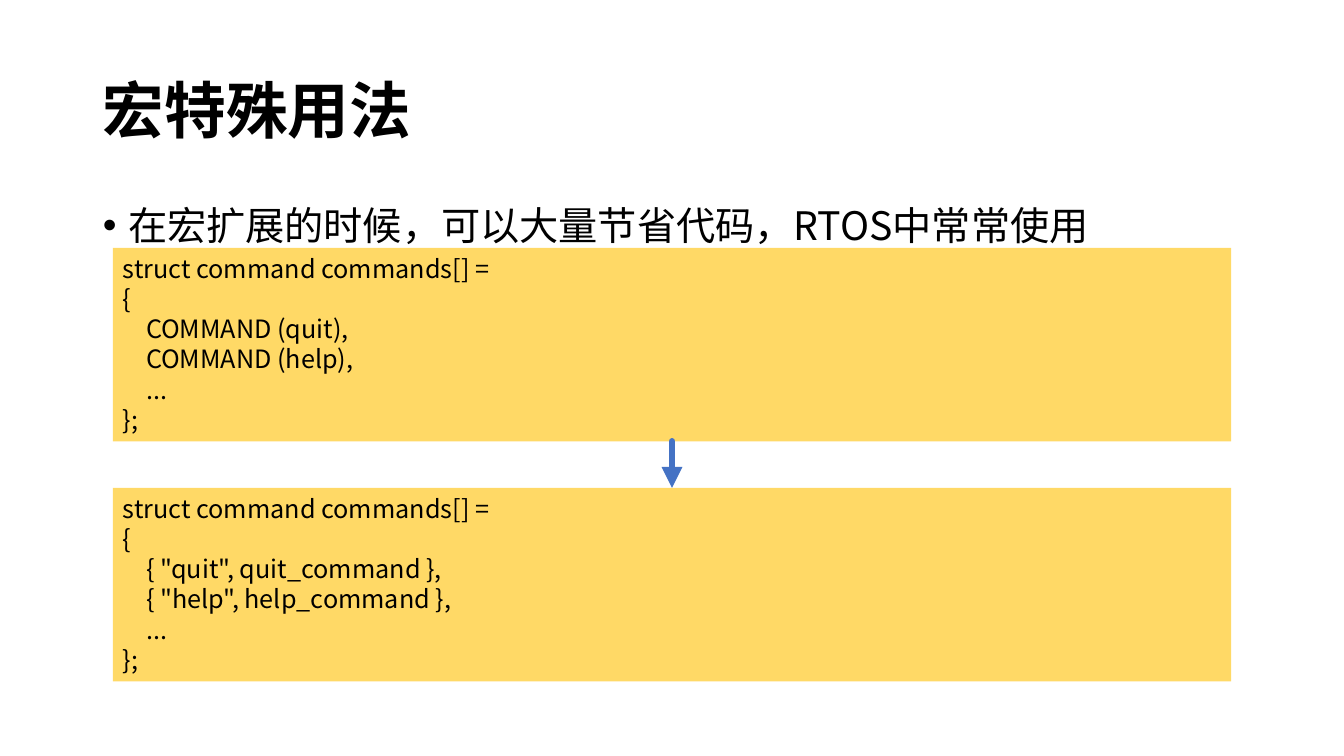
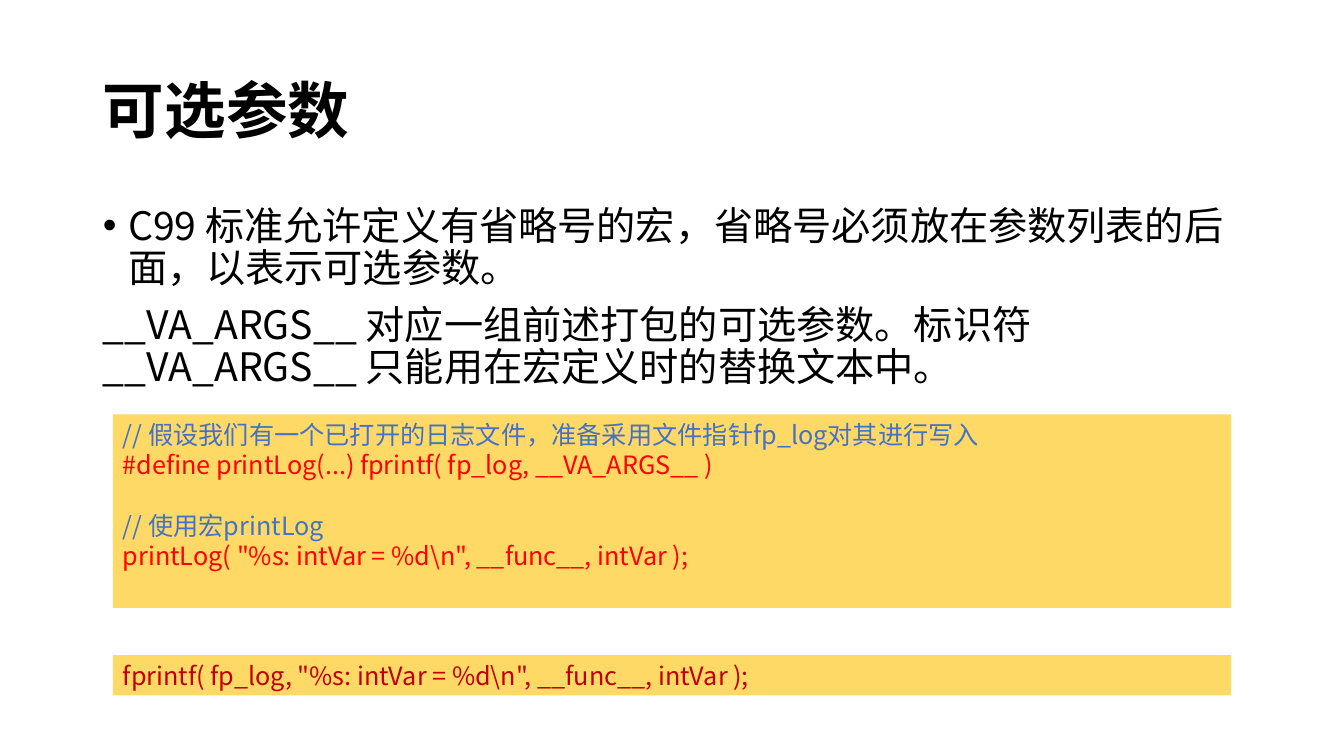
import pptx
import pptx.util
import pptx.dml.color
import pptx.enum.shapes
import pptx.enum.text
import pptx.oxml.ns
from lxml import etree

Inches, Pt = pptx.util.Inches, pptx.util.Pt
RGB = pptx.dml.color.RGBColor.from_string
qn = pptx.oxml.ns.qn
ANCHOR = pptx.enum.text.MSO_ANCHOR
LEFT = pptx.enum.text.PP_ALIGN.LEFT


class Theme:
    font = "Noto Sans CJK SC"
    black, panel, blue = "000000", "FFD966", "4472C4"
    red, dark_red = "FF0000", "C00000"
    title = {"size": Pt(44), "bold": True}
    body = {"size": Pt(28), "bold": False}
    code = {"size": Pt(18), "bold": False}
    spaced = {"alignment": LEFT, "line_spacing": 0.9, "space_before": Pt(10)}
    tight = {"alignment": LEFT, "line_spacing": 0.9, "space_before": Pt(0)}
    code_line = {"alignment": LEFT, "space_before": Pt(0)}
    blank_line = Pt(21.6)
    code_indent = 0.23
    bullet_indent = 0.25


# Boxes are (left, top, width, height) in inches
TITLE_BOX = (0.92, 0.4, 11.5, 1.45)
PANEL_LEFT, PANEL_WIDTH = 1.12, 11.09
PANEL_HEIGHT = 1.92


def apply(target, values):
    for name, value in values.items():
        setattr(target, name, value)


def place(sp, box):
    apply(sp, dict(zip(("left", "top", "width", "height"), map(Inches, box))))


def set_indent(p, margin, first=0):
    pPr = p._p.get_or_add_pPr()
    pPr.set("marL", str(Inches(margin)))
    pPr.set("indent", str(Inches(first)))
    return pPr


def prepare(tf, anchor):
    apply(tf, {"word_wrap": True, "vertical_anchor": anchor,
               "auto_size": pptx.enum.text.MSO_AUTO_SIZE.NONE})


def write(p, text, para, font, color=Theme.black):
    apply(p, para)
    r = p.add_run()
    r.text = text
    apply(r.font, {"name": Theme.font, **font})
    r.font.color.rgb = RGB(color)
    etree.SubElement(r._r.get_or_add_rPr(), qn("a:ea"), typeface=Theme.font)


def paragraphs(tf, items):
    """Pair every item with a paragraph, reusing the first one."""
    for i, item in enumerate(items):
        yield (tf.add_paragraph() if i else tf.paragraphs[0]), item


# Title and body placeholders
def add_title(s, text):
    sp = s.shapes.title
    place(sp, TITLE_BOX)
    prepare(sp.text_frame, ANCHOR.MIDDLE)
    write(sp.text_frame.paragraphs[0], text, Theme.tight, Theme.title)


def add_body(s, box, items):
    sp = s.placeholders[1]
    place(sp, box)
    prepare(sp.text_frame, ANCHOR.TOP)
    for p, (text, bulleted) in paragraphs(sp.text_frame, items):
        write(p, text, Theme.spaced, Theme.body)
        indent = Theme.bullet_indent if bulleted else 0
        pPr = set_indent(p, indent, -indent)
        if bulleted:
            etree.SubElement(pPr, qn("a:buFont"), typeface="Arial")
            etree.SubElement(pPr, qn("a:buChar"), char="•")
        else:
            etree.SubElement(pPr, qn("a:buNone"))


# Code panel: lines are (text, colour, indent level, blank line above)
def add_code(s, top, height, lines):
    box = map(Inches, (PANEL_LEFT, top, PANEL_WIDTH, height))
    sp = s.shapes.add_shape(pptx.enum.shapes.MSO_SHAPE.RECTANGLE, *box)
    sp.shadow.inherit = False
    sp.fill.solid()
    sp.fill.fore_color.rgb = RGB(Theme.panel)
    sp.line.fill.background()
    prepare(sp.text_frame, ANCHOR.TOP)
    for p, (text, color, level, gap) in paragraphs(sp.text_frame, lines):
        write(p, text, Theme.code_line, Theme.code, color)
        set_indent(p, level * Theme.code_indent)
        if gap:
            p.space_before = Theme.blank_line


def command_table(entries):
    inner = [(text, Theme.black, 1, False) for text in (*entries, "...")]
    outer = [(text, Theme.black, 0, False)
             for text in ("struct command commands[] =", "{", "};")]
    return outer[:2] + inner + outer[2:]


# Arrow between two panels
def add_down_arrow(s, top, bottom):
    x = Inches(PANEL_LEFT + PANEL_WIDTH / 2)
    cxn = s.shapes.add_connector(pptx.enum.shapes.MSO_CONNECTOR.STRAIGHT,
                                 x, Inches(top), x, Inches(bottom))
    cxn.line.width = Pt(5)
    cxn.line.color.rgb = RGB(Theme.blue)
    spPr = cxn._element.spPr
    ln = spPr.find(qn("a:ln"))
    ln.set("cap", "rnd")
    etree.SubElement(ln, qn("a:tailEnd"), type="triangle")
    etree.SubElement(spPr, qn("a:effectLst"))


def new_slide(prs, title, body_height, items):
    s = prs.slides.add_slide(prs.slide_layouts[1])
    add_title(s, title)
    add_body(s, (0.92, 2, 11.5, body_height), items)
    return s


def macro_slide(prs):
    s = new_slide(prs, "宏特殊用法", 4.76,
                  [("在宏扩展的时候，可以大量节省代码，RTOS中常常使用", True)])
    short_top, expanded_top = 2.46, 4.84
    add_code(s, short_top, PANEL_HEIGHT,
             command_table(["COMMAND (quit),", "COMMAND (help),"]))
    add_code(s, expanded_top, PANEL_HEIGHT,
             command_table([f'{{ "{name}", {name}_command }},'
                            for name in ("quit", "help")]))
    add_down_arrow(s, short_top + PANEL_HEIGHT, expanded_top)


def optional_args_slide(prs):
    s = new_slide(prs, "可选参数", 5.1, [
        ("C99 标准允许定义有省略号的宏，省略号必须放在参数列表的后面，"
         "以表示可选参数。", True),
        ("__VA_ARGS__ 对应一组前述打包的可选参数。标识符 __VA_ARGS__ "
         "只能用在宏定义时的替换文本中。", False)])
    arguments = '"%s: intVar = %d\\n", __func__, intVar );'
    add_code(s, 4.11, PANEL_HEIGHT, [
        ("// 假设我们有一个已打开的日志文件，准备采用文件指针fp_log对其进行写入",
         Theme.blue, 0, False),
        ("#define printLog(...) fprintf( fp_log, __VA_ARGS__ )",
         Theme.red, 0, False),
        ("// 使用宏printLog", Theme.blue, 0, True),
        ("printLog( " + arguments, Theme.red, 0, False)])
    add_code(s, 6.5, 0.4, [
        ("fprintf( fp_log, " + arguments, Theme.dark_red, 0, False)])


prs = pptx.Presentation()
prs.slide_width, prs.slide_height = Inches(13.33), Inches(7.5)
macro_slide(prs)
optional_args_slide(prs)
prs.save("out.pptx")
